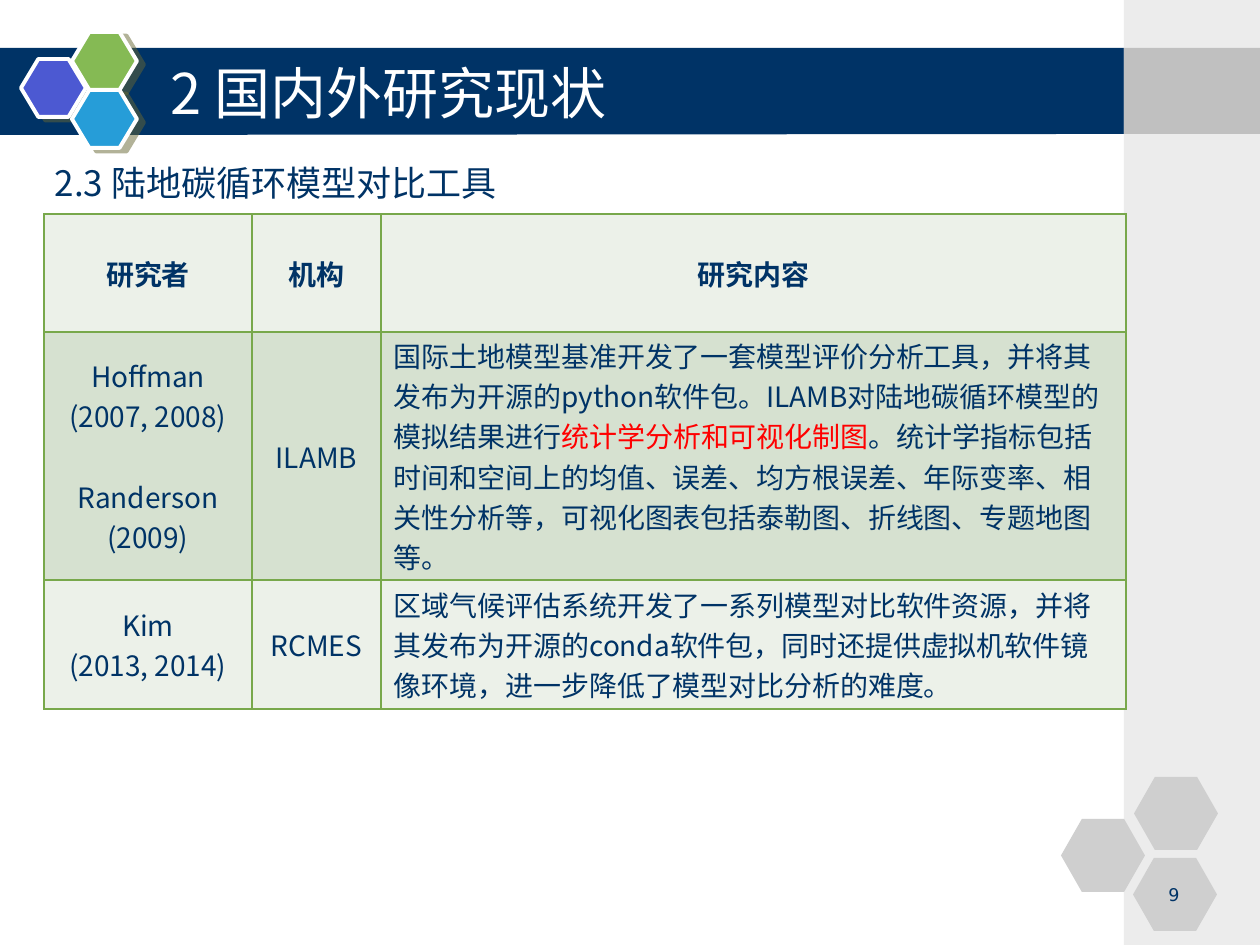
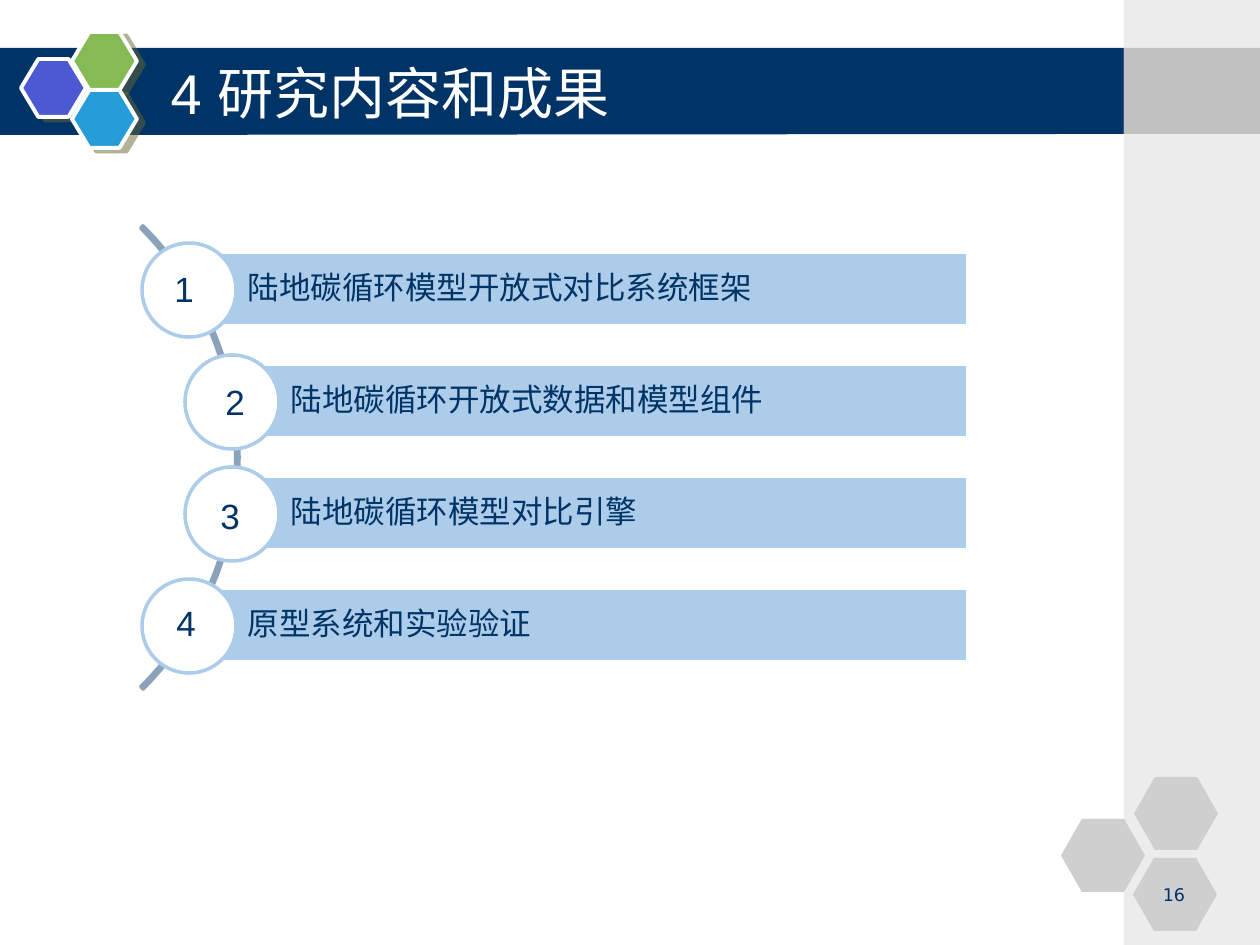
from collections import namedtuple

from lxml.etree import SubElement
from pptx import Presentation
from pptx.dml.color import RGBColor
from pptx.enum.shapes import MSO_SHAPE
from pptx.enum.text import MSO_ANCHOR, MSO_AUTO_SIZE, PP_ALIGN
from pptx.oxml import parse_xml
from pptx.oxml.ns import nsdecls, qn
from pptx.util import Pt

EMU_PER_PX = 914400 / 126
CJK = "Noto Sans CJK SC"
SANS = "DejaVu Sans"
COLORS = {
    "navy": "003366", "white": "FFFFFF", "red": "FF0000",
    "violet": "4C59D2", "green": "85BA54", "blue": "269DD8", "shadow": "666633",
    "panel": "ECECEC", "panel_band": "C0C0C0", "gray": "CFCFCF",
    "grid": "78A84B", "row_light": "ECF1E9", "row_dark": "D6E1D0",
    "bar": "ACCCE9", "arc": "8AA3BB",
}
Box = namedtuple("Box", "x y w h")
PAGE = Box(0, 0, 1260, 945)
TITLE = Box(158, 53, 935, 78)
SUBTITLE = Box(42, 147, 945, 77)
TABLE = Box(44, 214, 1082, 495)
AGENDA = Box(142, 243, 826, 430)
EMBLEM = Box(21, 32, 116, 116)
CORNER = Box(1061, 777, 157, 155)


def px(length):
    return round(length * EMU_PER_PX)


def emu(box):
    return [px(length) for length in box]


def rgb(name):
    return RGBColor.from_string(COLORS[name])


def write(paragraph, text, size=16, font=CJK, color="navy", bold=False,
          align=PP_ALIGN.LEFT, line=None, before=0):
    """Add one formatted run and set the format of its paragraph."""
    paragraph.alignment = align
    paragraph.space_before = Pt(before)
    if line:
        paragraph.line_spacing = line
    run = paragraph.add_run()
    run.text = text
    run.font.size = Pt(size)
    run.font.bold = bold
    run.font.color.rgb = rgb(color)
    run.font.name = font
    SubElement(run.font._element, qn("a:ea"), typeface=CJK)


def add_label(slide, box, text, **style):
    frame = slide.shapes.add_textbox(*emu(box)).text_frame
    frame.word_wrap = True
    write(frame.paragraphs[0], text, **style)


def paint(shape, fill=None, line=None, width=2):
    shape.shadow.inherit = False
    if fill:
        shape.fill.solid()
        shape.fill.fore_color.rgb = rgb(fill)
    else:
        shape.fill.background()
    if line:
        shape.line.color.rgb = rgb(line)
        shape.line.width = Pt(width)
    else:
        shape.line.fill.background()


def add_preset(slide, preset, box, adjust=(), **style):
    shape = slide.shapes.add_shape(preset, *emu(box))
    for index, value in enumerate(adjust):
        shape.adjustments[index] = value
    paint(shape, **style)
    return shape


def cast_shadow(shape):
    """Give the shape a hard, half transparent shadow to the lower right."""
    effects = shape._element.spPr.find(qn("a:effectLst"))
    effects.append(parse_xml(
        f'<a:outerShdw {nsdecls("a")} blurRad="0" dist="57150" dir="1620000" '
        f'algn="ctr" rotWithShape="0"><a:srgbClr val="{COLORS["shadow"]}">'
        '<a:alpha val="50000"/></a:srgbClr></a:outerShdw>'))


def add_title_band(slide, page):
    builder = slide.shapes.build_freeform(page.x, page.y + 48, scale=EMU_PER_PX)
    builder.add_line_segments([(1126, 48), (1125, 134), (page.x, 135)])
    paint(builder.convert_to_shape(), fill="navy")


def add_emblem(slide, box):
    for dx, dy, color in [(0, 27, "violet"), (51, 0, "green"), (51, 58, "blue")]:
        hexagon = add_preset(
            slide, MSO_SHAPE.HEXAGON, Box(box.x + dx, box.y + dy, 65, 58),
            adjust=[0.3], fill=color, line="white", width=2.25)
        cast_shadow(hexagon)


def add_side_panel(slide, page):
    left, width = page.w - 136, 136
    add_preset(slide, MSO_SHAPE.RECTANGLE, Box(left, page.y, width, page.h), fill="panel")
    add_preset(slide, MSO_SHAPE.RECTANGLE, Box(left, page.y + 48, width, 86),
               fill="panel_band")


def add_corner(slide, box, number):
    for dx, dy in [(0, 42), (73, 0), (72, 81)]:
        add_preset(slide, MSO_SHAPE.HEXAGON, Box(box.x + dx, box.y + dy, 84, 73),
                   adjust=[0.286], fill="gray")
    add_label(slide, Box(box.x + 81, box.y + 101, 64, 32), number,
              size=10, font=SANS, align=PP_ALIGN.CENTER)


def fill_placeholder(placeholder, box, text, anchor, **style):
    """Move a placeholder in front of the decoration and write its text."""
    placeholder.element.getparent().append(placeholder.element)
    placeholder.left, placeholder.top, placeholder.width, placeholder.height = emu(box)
    frame = placeholder.text_frame
    frame.auto_size = MSO_AUTO_SIZE.NONE
    frame.vertical_anchor = anchor
    properties = frame.paragraphs[0]._p.get_or_add_pPr()
    properties.set("marL", "0")
    properties.set("indent", "0")
    SubElement(properties, qn("a:buNone"))
    write(frame.paragraphs[0], text, **style)


def add_slide(deck, layout, title, number, title_font):
    slide = deck.slides.add_slide(deck.slide_layouts.get_by_name(layout))
    add_title_band(slide, PAGE)
    add_emblem(slide, EMBLEM)
    add_side_panel(slide, PAGE)
    add_corner(slide, CORNER, number)
    fill_placeholder(slide.shapes.title, TITLE, title, MSO_ANCHOR.MIDDLE,
                     size=32, font=title_font, color="white")
    return slide


def style_cell(cell, fill):
    cell.vertical_anchor = MSO_ANCHOR.MIDDLE
    cell.margin_left = cell.margin_right = px(13)
    cell.margin_top = cell.margin_bottom = 0
    cell.fill.solid()
    cell.fill.fore_color.rgb = rgb(fill)
    for index, side in enumerate(["lnL", "lnR", "lnT", "lnB"]):
        cell._tc.tcPr.insert(index, parse_xml(
            f'<a:{side} {nsdecls("a")} w="12700"><a:solidFill>'
            f'<a:srgbClr val="{COLORS["grid"]}"/></a:solidFill></a:{side}>'))


def write_cell(cell, paragraphs, **style):
    """Write paragraphs, each a list of (text, format) runs."""
    frame = cell.text_frame
    for index, runs in enumerate(paragraphs):
        paragraph = frame.add_paragraph() if index else frame.paragraphs[0]
        for text, extra in runs:
            write(paragraph, text, **{**style, **extra})


def add_tools_table(slide, box):
    rows = [
        ([[("研究者", {})]], [[("机构", {})]], [[("研究内容", {})]]),
        ([[("Hoffman", {})], [("(2007, 2008)", {})],
          [("Randerson", {"before": 23})], [("(2009)", {})]],
         [[("ILAMB", {})]],
         [[("国际土地模型基准开发了一套模型评价分析工具，并将其发布为开源的python软件包。"
            "ILAMB对陆地碳循环模型的模拟结果进行", {}),
           ("统计学分析和可视化制图", {"color": "red"}),
           ("。统计学指标包括时间和空间上的均值、误差、均方根误差、年际变率、相关性分析等，"
            "可视化图表包括泰勒图、折线图、专题地图等。", {})]]),
        ([[("Kim", {})], [("(2013, 2014)", {})]],
         [[("RCMES", {})]],
         [[("区域气候评估系统开发了一系列模型对比软件资源，并将其发布为开源的conda软件包，"
            "同时还提供虚拟机软件镜像环境，进一步降低了模型对比分析的难度。", {})]]),
    ]
    table = slide.shapes.add_table(len(rows), 3, *emu(box)).table
    table.first_row = table.horz_banding = False
    for column, width in zip(table.columns, [208, 129, 745]):
        column.width = px(width)
    for row, height in zip(table.rows, [118, 248, 129]):
        row.height = px(height)
    for r, contents in enumerate(rows):
        for c, paragraphs in enumerate(contents):
            cell = table.cell(r, c)
            style_cell(cell, "row_dark" if r % 2 else "row_light")
            running_text = r > 0 and c == 2
            write_cell(cell, paragraphs, bold=r == 0,
                       align=PP_ALIGN.LEFT if running_text else PP_ALIGN.CENTER)


def add_agenda_item(slide, box, number, text, number_offset):
    """Draw a numbered circle at the left end of a bar."""
    bar_left = box.x + box.h // 2
    bar = add_preset(slide, MSO_SHAPE.RECTANGLE,
                     Box(bar_left, box.y + 9, box.x + box.w - bar_left, 74),
                     fill="bar", line="white")
    frame = bar.text_frame
    frame.word_wrap = True
    frame.vertical_anchor = MSO_ANCHOR.MIDDLE
    frame.margin_left = px(59)
    frame.margin_right = frame.margin_top = frame.margin_bottom = px(6)
    write(frame.paragraphs[0], text, size=18, font=SANS, line=0.9)
    add_preset(slide, MSO_SHAPE.OVAL, Box(box.x, box.y, box.h, box.h),
               fill="white", line="bar")
    dx, dy = number_offset
    add_label(slide, Box(box.x + dx, box.y + dy, 60, 55), number, size=20, font="Arial")


def add_agenda(slide, box):
    add_preset(slide, MSO_SHAPE.BLOCK_ARC, Box(box.x - 558, box.y - 113, 655, 655),
               adjust=[189, 27, 0.005], line="arc")
    items = [
        ("陆地碳循环模型开放式对比系统框架", 0, (20, 18)),
        ("陆地碳循环开放式数据和模型组件", 43, (28, 19)),
        ("陆地碳循环模型对比引擎", 43, (23, 21)),
        ("原型系统和实验验证", 0, (22, 16)),
    ]
    circle = 94
    step = (box.h - circle) // (len(items) - 1)
    for index, (text, indent, number_offset) in enumerate(items):
        item = Box(box.x + indent, box.y + index * step, box.w - indent, circle)
        add_agenda_item(slide, item, str(index + 1), text, number_offset)


def main():
    deck = Presentation()
    deck.slide_width, deck.slide_height = px(PAGE.w), px(PAGE.h)

    status = add_slide(deck, "Title and Content", "2 国内外研究现状", "9", CJK)
    fill_placeholder(status.placeholders[1], SUBTITLE, "2.3 陆地碳循环模型对比工具",
                     MSO_ANCHOR.TOP, size=20, line=1.2)
    add_tools_table(status, TABLE)

    results = add_slide(deck, "Title Only", "4 研究内容和成果", "16", "Arial")
    add_agenda(results, AGENDA)
    deck.save("out.pptx")


if __name__ == "__main__":
    main()
